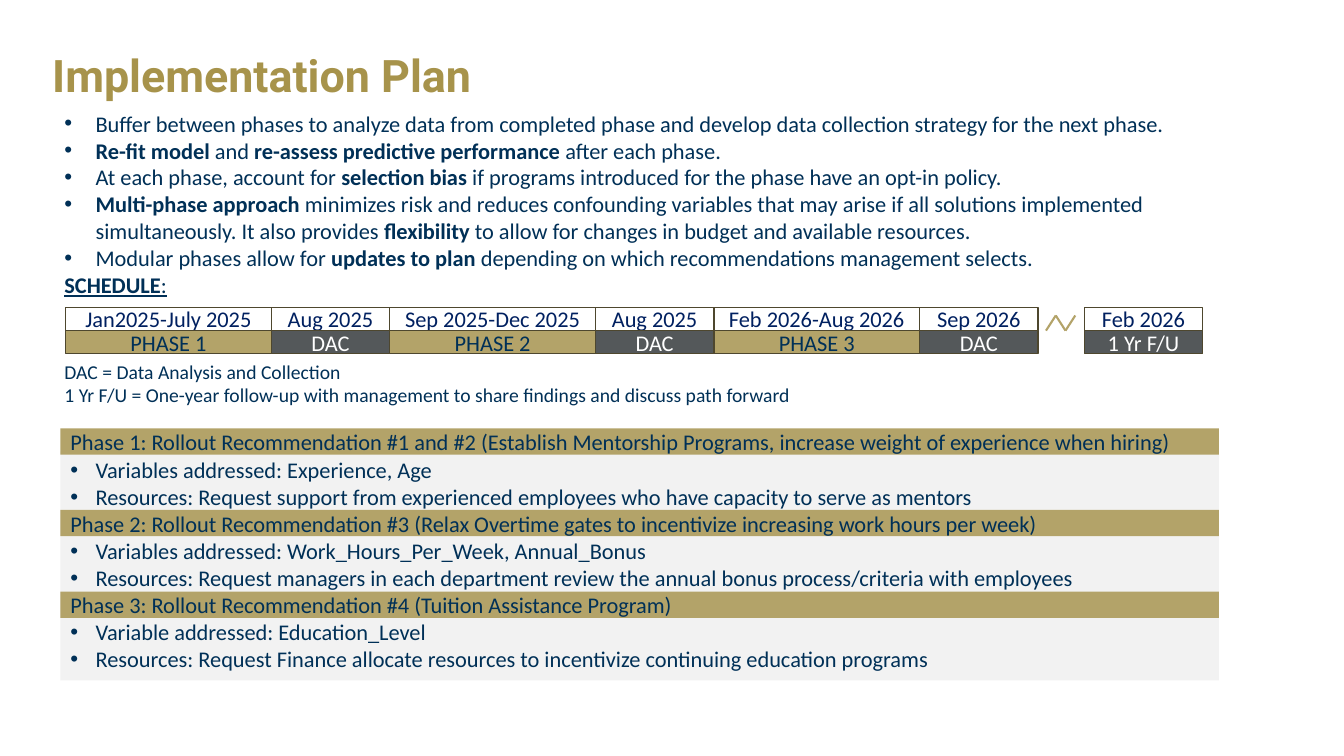
from itertools import pairwise

from lxml.etree import SubElement
from pptx import Presentation
from pptx.dml.color import RGBColor
from pptx.enum.shapes import MSO_CONNECTOR, MSO_SHAPE
from pptx.enum.text import MSO_ANCHOR, PP_ALIGN
from pptx.oxml.ns import qn
from pptx.util import Inches, Pt

NAVY = RGBColor(0x00, 0x30, 0x57)
DATE_BLUE = RGBColor(0x00, 0x20, 0x60)
GOLD = RGBColor(0xB3, 0xA3, 0x69)
TITLE_GOLD = RGBColor(0xA7, 0x93, 0x4B)
BROWN = RGBColor(0x4E, 0x47, 0x2E)
SLATE = RGBColor(0x54, 0x58, 0x5A)
PALE = RGBColor(0xF2, 0xF2, 0xF2)
WHITE = RGBColor(0xFF, 0xFF, 0xFF)

COLS, ROWS = 1333, 750
CELL = Inches(0.01)
LINE_16 = Pt(19.5)

POINTS = [
    "Buffer between phases to analyze data from completed phase and develop data collection strategy for the next phase.",
    "**Re-fit model **and **re-assess predictive performance **after each phase.",
    "At each phase, account for **selection bias **if programs introduced for the phase have an opt-in policy.",
    "**Multi-phase approach** minimizes risk and reduces confounding variables that may arise if all solutions "
    "implemented simultaneously. It also provides **flexibility **to allow for changes in budget and available resources.",
    "Modular phases allow for **updates to plan **depending on which recommendations management selects.",
]
LEGEND = [
    "DAC = Data Analysis and Collection",
    "1 Yr F/U = One-year follow-up with management to share findings and discuss path forward",
]
SCHEDULE = [
    ("Jan2025-July 2025", "PHASE 1"),
    ("Aug 2025", "DAC"),
    ("Sep 2025-Dec 2025", "PHASE 2"),
    ("Aug 2025", "DAC"),
    ("Feb 2026-Aug 2026", "PHASE 3"),
    ("Sep 2026", "DAC"),
    ("Feb 2026", "1 Yr F/U"),
]
PHASES = [
    ("Phase 1: Rollout Recommendation #1 and #2 (Establish Mentorship Programs, increase weight of experience when hiring)",
     ["Variables addressed: Experience, Age",
      "Resources: Request support from experienced employees who have capacity to serve as mentors"]),
    ("Phase 2: Rollout Recommendation #3 (Relax Overtime gates to incentivize increasing work hours per week)",
     ["Variables addressed: Work_Hours_Per_Week, Annual_Bonus",
      "Resources: Request managers in each department review the annual bonus process/criteria with employees"]),
    ("Phase 3: Rollout Recommendation #4 (Tuition Assistance Program)",
     ["Variable addressed: Education_Level",
      "Resources: Request Finance allocate resources to incentivize continuing education programs"]),
]


def grid(*values):
    return [int(v * CELL) for v in values]


def add_bullet(p, indent):
    pPr = p._p.get_or_add_pPr()
    pPr.set("marL", str(indent))
    pPr.set("indent", str(-indent))
    SubElement(pPr, qn("a:buFont")).set("typeface", "Arial")
    SubElement(pPr, qn("a:buChar")).set("char", "•")


def write(sp, lines, size=16, color=NAVY, font="Calibri", align=PP_ALIGN.LEFT,
          anchor=MSO_ANCHOR.TOP, underline=None, bullet=0, group=0, spacing=None):
    tf = sp.text_frame
    tf.word_wrap = True
    tf.vertical_anchor = anchor
    for i, line in enumerate(lines):
        p = tf.add_paragraph() if i else tf.paragraphs[0]
        p.alignment = align
        if spacing:
            p.line_spacing = spacing
        if group and i and i % group == 0:
            p.space_before = LINE_16
        if bullet:
            add_bullet(p, int(bullet * CELL))
        for j, part in enumerate(line.split("**")):
            if part:
                r = p.add_run()
                r.text = part
                r.font.name, r.font.size = font, Pt(size)
                r.font.bold = j % 2 == 1
                r.font.underline = underline
                r.font.color.rgb = color
    return sp


def add_box(s, box, fill=None, line=None):
    sp = s.shapes.add_shape(MSO_SHAPE.RECTANGLE, *grid(*box))
    sp.shadow.inherit = False
    if fill is None:
        sp.fill.background()
    else:
        sp.fill.solid()
        sp.fill.fore_color.rgb = fill
    if line is None:
        sp.line.fill.background()
    else:
        sp.line.color.rgb = line
        sp.line.width = Pt(1)
    return sp


def add_label(s, box, lines, **fmt):
    return write(s.shapes.add_textbox(*grid(*box)), lines, **fmt)


def add_break(s, x, y, w, h):
    peaks = [(x + w * i / 3, y + h * (i % 2 == 0)) for i in range(4)]
    for start, end in pairwise(peaks):
        c = s.shapes.add_connector(MSO_CONNECTOR.STRAIGHT, *grid(*start, *end))
        c.line.color.rgb = GOLD
        c.line.width = Pt(1.5)
        SubElement(c._element.spPr, qn("a:effectLst"))


def add_schedule(s, x, y, w, h):
    row = h / 2
    gap = 46
    long, short = 0.18 * w, 0.1035 * w
    for date, stage in SCHEDULE:
        is_phase = stage.startswith("PHASE")
        if stage == "1 Yr F/U":
            add_break(s, x + 8, y + 8, 29, 15)
            x += gap
        width = long if is_phase else short
        style = dict(align=PP_ALIGN.CENTER, anchor=MSO_ANCHOR.MIDDLE)
        write(add_box(s, (x, y, width, row), line=BROWN), [date], color=DATE_BLUE, **style)
        write(add_box(s, (x, y + row, width, row), GOLD if is_phase else SLATE, BROWN),
              [stage], color=NAVY if is_phase else WHITE, **style)
        x += width


def add_phases(s, x, y, w, h):
    band, pitch = 26, 81
    details = [d for _, lines in PHASES for d in lines]
    write(add_box(s, (x, y + 23, w, h - 23), PALE), details, bullet=25, group=2)
    for i, (heading, _) in enumerate(PHASES):
        write(add_box(s, (x, y + i * pitch, w, band), GOLD), [heading], anchor=MSO_ANCHOR.MIDDLE)


def add_overview(s, x, y, w, h):
    add_label(s, (x, y, w, h), POINTS, bullet=31)
    add_label(s, (x, y + 160, 129, 37), ["**SCHEDULE**:"], underline=True)


def main():
    prs = Presentation()
    prs.slide_width, prs.slide_height = grid(COLS, ROWS)
    s = prs.slides.add_slide(prs.slide_layouts[6])
    add_label(s, (42, 22, 1250, 111), ["**Implementation Plan**"], size=32, color=TITLE_GOLD,
              font="Roboto", anchor=MSO_ANCHOR.MIDDLE, spacing=0.9)
    add_overview(s, 54, 104, 1167, 172)
    add_schedule(s, 65, 305, 1134, 46)
    add_label(s, (54, 352, 852, 57), LEGEND, size=14)
    add_phases(s, 60, 425, 1149, 250)
    prs.save("out.pptx")


if __name__ == "__main__":
    main()
